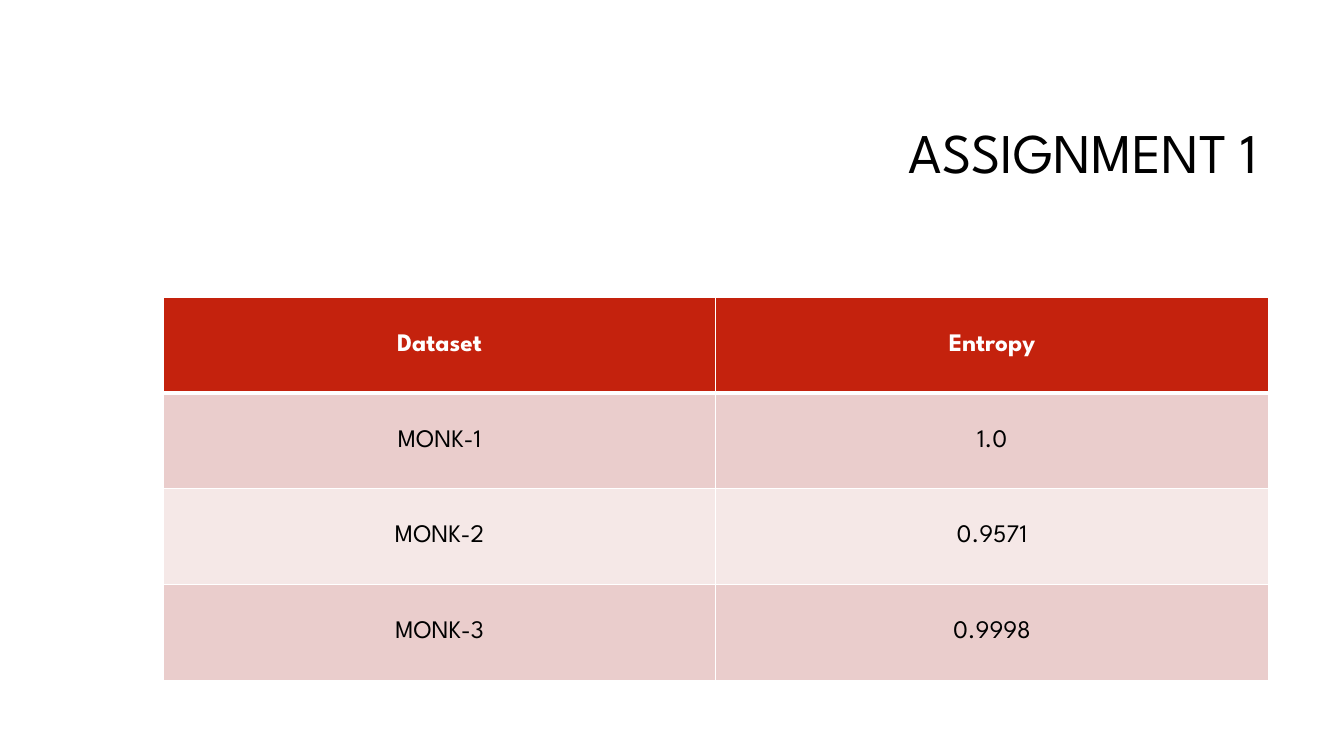
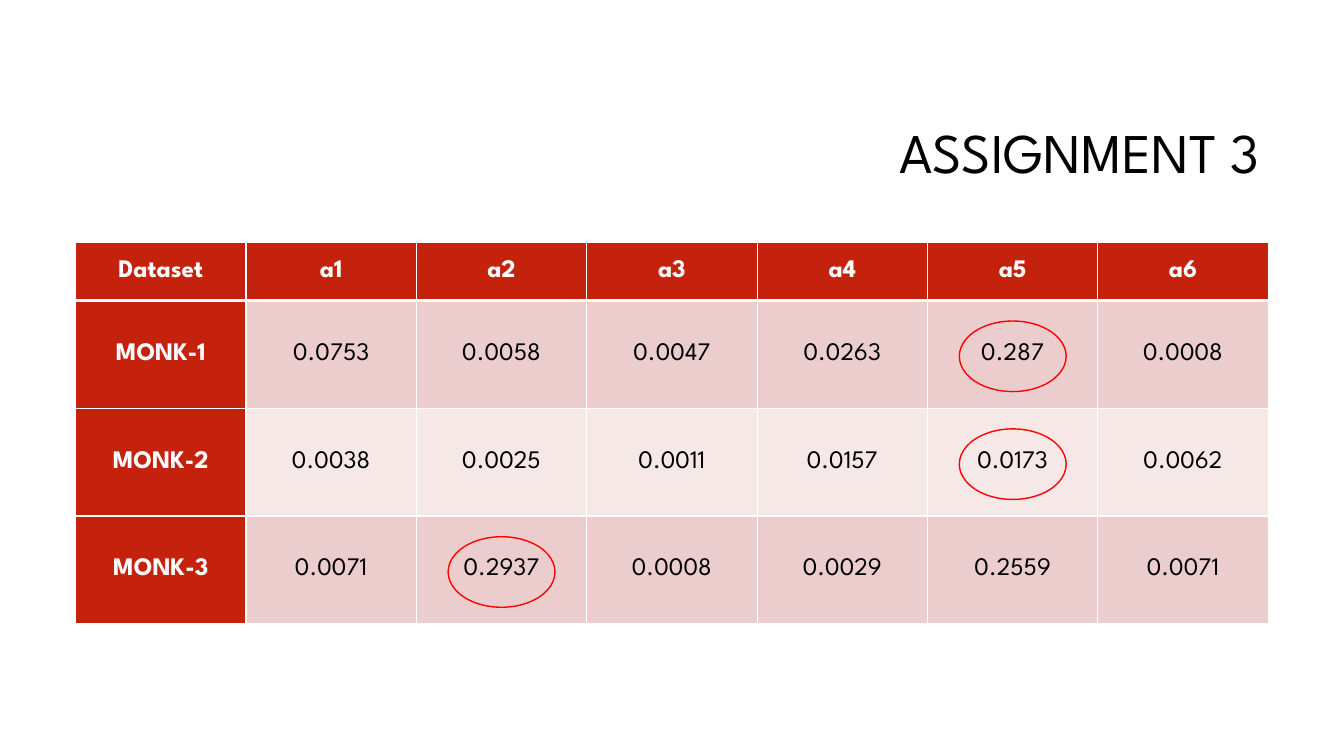
from lxml import etree
from pptx import Presentation
from pptx.dml.color import RGBColor
from pptx.enum.shapes import MSO_SHAPE
from pptx.enum.text import MSO_ANCHOR, PP_ALIGN
from pptx.oxml.ns import qn
from pptx.util import Inches, Pt

ELLIPSE = MSO_SHAPE.OVAL
MIDDLE = MSO_ANCHOR.MIDDLE
CENTER, RIGHT = PP_ALIGN.CENTER, PP_ALIGN.RIGHT

FONT = "League Spartan"
BLACK, WHITE = "000000", "FFFFFF"
HEADER_RED, RING_RED = "C4220D", "FF0000"
BANDS = ("EACDCC", "F5E8E7")
RING_WIDTH, RING_HEIGHT, RING_DROP = 1.06, 0.7, 0.02

ENTROPY = [
    ("Dataset", "Entropy"),
    ("MONK-1", "1.0"),
    ("MONK-2", "0.9571"),
    ("MONK-3", "0.9998"),
]
GAIN = [
    ("Dataset", "a1", "a2", "a3", "a4", "a5", "a6"),
    ("MONK-1", "0.0753", "0.0058", "0.0047", "0.0263", "0.287", "0.0008"),
    ("MONK-2", "0.0038", "0.0025", "0.0011", "0.0157", "0.0173", "0.0062"),
    ("MONK-3", "0.0071", "0.2937", "0.0008", "0.0029", "0.2559", "0.0071"),
]
BEST_GAINS = [(1, 5), (2, 5), (3, 2)]


def color(value):
    """Turn a hex string into a colour."""
    return RGBColor.from_string(value)


def style_text(para, size, shade, align, bold=False):
    """Set the font and alignment of a paragraph."""
    para.alignment = align
    para.font.name = FONT
    para.font.size = Pt(size)
    para.font.bold = bold
    para.font.color.rgb = color(shade)


def add_title(page, text, left):
    """Add the right-aligned slide title."""
    box = page.shapes.add_textbox(Inches(left), Inches(0.84), Inches(9.42), Inches(1.41))
    frame = box.text_frame
    frame.word_wrap = True
    frame.vertical_anchor = MIDDLE
    para = frame.paragraphs[0]
    para.text = text
    para.line_spacing = 0.9
    style_text(para, 40, BLACK, RIGHT)


def set_borders(cell, top, bottom):
    """Draw white cell borders, with top and bottom widths in points."""
    properties = cell._tc.get_or_add_tcPr()
    for side, width in (("L", 1), ("R", 1), ("T", top), ("B", bottom)):
        line = etree.SubElement(properties, qn(f"a:ln{side}"), w=str(Pt(width)))
        fill = etree.SubElement(line, qn("a:solidFill"))
        etree.SubElement(fill, qn("a:srgbClr"), val=WHITE)


def style_cell(cell, text, row, is_header):
    """Fill one table cell with its text, borders and colours."""
    set_borders(cell, top=3 if row == 1 else 1, bottom=3 if row == 0 else 1)
    cell.fill.solid()
    cell.fill.fore_color.rgb = color(HEADER_RED if is_header else BANDS[(row - 1) % 2])
    cell.vertical_anchor = MIDDLE
    para = cell.text_frame.paragraphs[0]
    para.text = text
    style_text(para, 18, WHITE if is_header else BLACK, CENTER, bold=is_header)


def add_data_table(page, rows, left, top, column_width, row_heights, header_column=False):
    """Add a banded table with a red header row and, if asked, a red first column."""
    columns = len(rows[0])
    table = page.shapes.add_table(
        len(rows), columns, Inches(left), Inches(top),
        Inches(column_width * columns), Inches(sum(row_heights)),
    ).table
    table.first_col = header_column
    for column in table.columns:
        column.width = Inches(column_width)
    for row, (values, height) in enumerate(zip(rows, row_heights)):
        table.rows[row].height = Inches(height)
        for column, value in enumerate(values):
            is_header = row == 0 or (header_column and column == 0)
            style_cell(table.cell(row, column), value, row, is_header)


def add_ring(page, center_x, center_y):
    """Circle a table value in red."""
    ring = page.shapes.add_shape(
        ELLIPSE, Inches(center_x - RING_WIDTH / 2), Inches(center_y - RING_HEIGHT / 2),
        Inches(RING_WIDTH), Inches(RING_HEIGHT),
    )
    ring.shadow.inherit = False
    ring.fill.background()
    ring.line.color.rgb = color(RING_RED)
    ring.line.width = Pt(1)


def build_entropy(page):
    """Build the slide with the entropy of each dataset."""
    add_title(page, "ASSIGNMENT 1", 3.15)
    add_data_table(page, ENTROPY, 1.62, 2.95, 5.48, [0.95] * 4)


def build_gain(page):
    """Build the slide with attribute values and the highest ones circled."""
    left, top, column_width = 0.75, 2.4, 1.69
    row_heights = [0.58] + [1.07] * 3
    add_title(page, "ASSIGNMENT 3", 3.17)
    add_data_table(page, GAIN, left, top, column_width, row_heights, header_column=True)
    for row, column in BEST_GAINS:
        center_x = left + (column + 0.5) * column_width
        center_y = top + sum(row_heights[:row]) + row_heights[row] / 2
        add_ring(page, center_x, center_y + RING_DROP)


def main():
    """Build and save the deck."""
    deck = Presentation()
    deck.slide_width, deck.slide_height = Inches(13.33), Inches(7.5)
    for build in (build_entropy, build_gain):
        build(deck.slides.add_slide(deck.slide_layouts[6]))
    deck.save("out.pptx")


if __name__ == "__main__":
    main()
